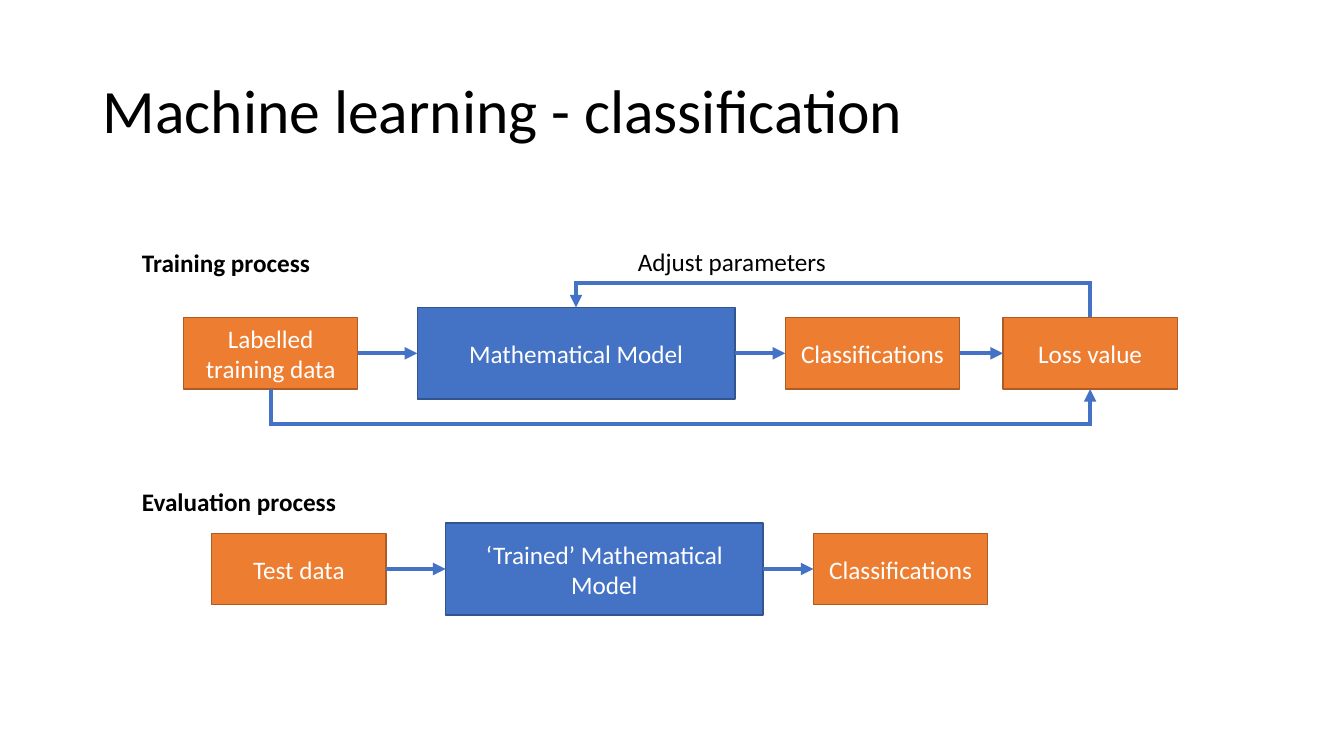
from pptx import Presentation
from pptx import util as u
from pptx.dml import color as col
from pptx.enum import shapes, text
from pptx.oxml.ns import qn
from lxml import etree

WIDE, HIGH = u.Inches(13.333), u.Inches(7.5)
COLS, ROWS = 133.33, 75
BLUE, NAVY = "4472C4", "325491"
ORANGE, RUST = "ED7D31", "AF5C24"
BLACK, WHITE = "000000", "FFFFFF"
DATA, MODEL = (17.3, 7.1), (31.5, 9.1)
STEPS = (0, 23.2, 59.7, 81.3)


def across(n):
    return round(n * WIDE / COLS)


def down(n):
    return round(n * HIGH / ROWS)


def place(x, y, w, h):
    return across(x), down(y), across(w), down(h)


def paint(part, code):
    part.solid()
    part.fore_color.rgb = col.RGBColor.from_string(code)


def style(frame, words, size, code, bold=False):
    frame.text = words
    for run in frame.paragraphs[0].runs:
        font = run.font
        font.name, font.size, font.bold = "Calibri", u.Pt(size), bold
        paint(font.fill, code)


def label(slide, box, words, size=18, bold=False, wrap=True):
    frame = slide.shapes.add_textbox(*place(*box)).text_frame
    style(frame, words, size, BLACK, bold)
    frame.word_wrap = wrap
    return frame


def node(slide, left, mid, words, model=False):
    w, h = MODEL if model else DATA
    rect = slide.shapes.add_shape(
        shapes.MSO_SHAPE.RECTANGLE, *place(left, mid - h / 2, w, h))
    rect.shadow.inherit = False
    paint(rect.fill, BLUE if model else ORANGE)
    paint(rect.line.fill, NAVY if model else RUST)
    rect.line.width = u.Pt(1)
    frame = rect.text_frame
    style(frame, words, 18, WHITE)
    frame.word_wrap = True
    frame.vertical_anchor = text.MSO_ANCHOR.MIDDLE
    frame.paragraphs[0].alignment = text.PP_ALIGN.CENTER
    return rect


def arrow(line):
    paint(line.fill, BLUE)
    line.width = u.Pt(3)
    ln = line._get_or_add_ln()
    etree.SubElement(ln, qn("a:miter"), lim="800000")
    etree.SubElement(ln, qn("a:tailEnd"), type="triangle")


def join(slide, start, end):
    link = slide.shapes.add_connector(shapes.MSO_CONNECTOR.STRAIGHT, 0, 0, 0, 0)
    link.begin_connect(start, 3)
    link.end_connect(end, 1)
    arrow(link.line)
    etree.SubElement(link._element.spPr, qn("a:effectLst"))


def loop(slide, start, end, level, above):
    def port(rect):
        return rect.left + rect.width // 2, rect.top + (0 if above else rect.height)

    (x1, y1), (x2, y2) = port(start), port(end)
    form = slide.shapes.build_freeform(x1, y1)
    form.add_line_segments(
        [(x1, down(level)), (x2, down(level)), (x2, y2)], close=False)
    bend = form.convert_to_shape()
    bend.shadow.inherit = False
    bend.fill.background()
    arrow(bend.line)


def flow(slide, left, mid, names):
    nodes = [node(slide, left + step, mid, name, i == 1)
             for i, (step, name) in enumerate(zip(STEPS, names))]
    for start, end in zip(nodes, nodes[1:]):
        join(slide, start, end)
    return nodes


def title(slide, box):
    frame = label(slide, box, "Machine learning - classification", 44)
    frame.vertical_anchor = text.MSO_ANCHOR.MIDDLE
    frame.paragraphs[0].line_spacing = 0.9


def train(slide, left, top):
    label(slide, (left, top, 18.8, 4), "Training process", bold=True, wrap=False)
    label(slide, (left + 49.2, top - 0.1, 21.2, 4), "Adjust parameters")
    data, model, _, loss = flow(slide, left + 5.1, top + 11, (
        "Labelled training data", "Mathematical Model",
        "Classifications", "Loss value"))
    loop(slide, loss, model, top + 4, True)
    loop(slide, data, loss, top + 18, False)


def test(slide, left, top):
    label(slide, (left, top, 21.4, 4), "Evaluation process", bold=True, wrap=False)
    flow(slide, left + 7.9, top + 8.65, (
        "Test data", "‘Trained’ Mathematical Model", "Classifications"))


def main():
    deck = Presentation()
    deck.slide_width, deck.slide_height = WIDE, HIGH
    slide = deck.slides.add_slide(deck.slide_layouts[6])
    title(slide, (9.2, 4, 115, 14.5))
    train(slide, 13.1, 24.05)
    test(slide, 13.1, 47.8)
    deck.save("out.pptx")


if __name__ == "__main__":
    main()
